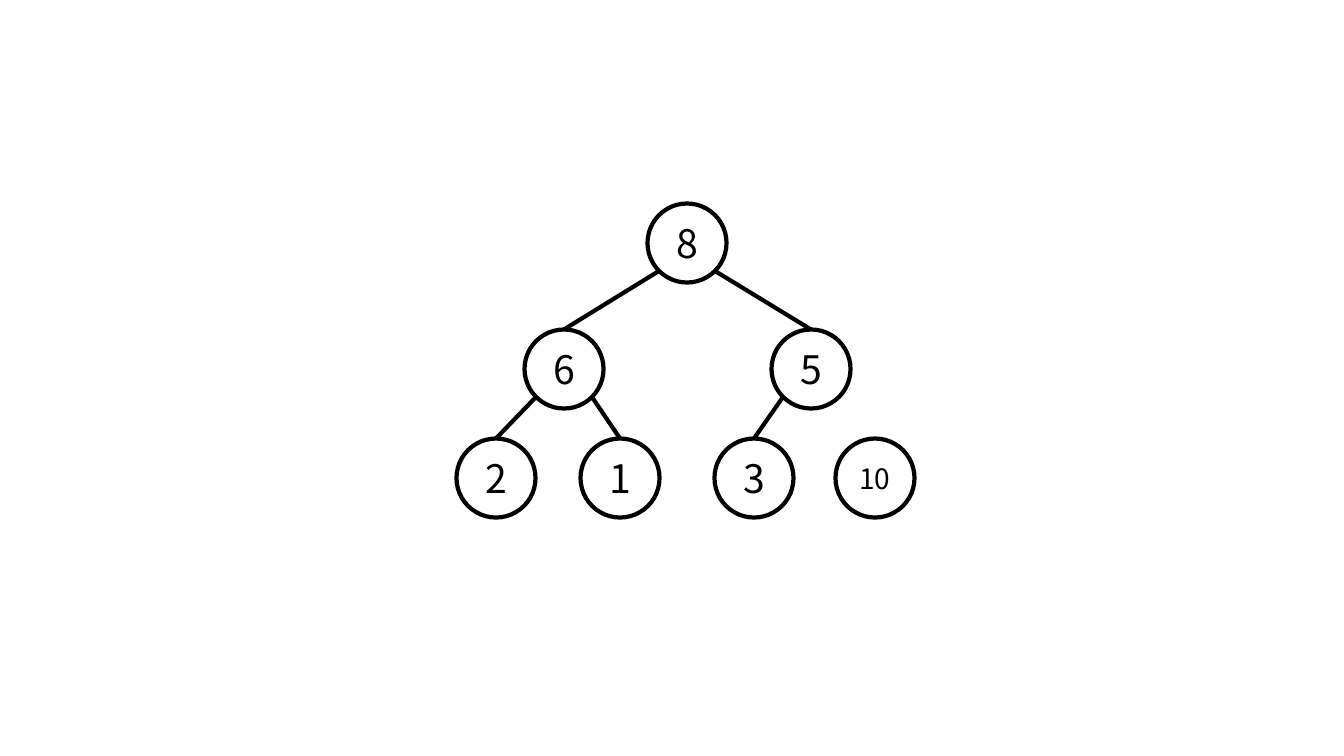
from math import sqrt

from lxml import etree
from pptx import Presentation
from pptx import util as u
from pptx.dml.color import RGBColor
from pptx.enum import shapes, text
from pptx.oxml.ns import qn

# Content: label -> (centre x, centre y, text size), lengths in px
NODES = {
    "8": (687, 243, 28),
    "6": (564, 369, 28),
    "5": (811, 369, 28),
    "2": (496, 478, 28),
    "1": (620, 478, 28),
    "3": (754, 478, 28),
    "10": (875, 478, 20),
}
EDGES = [("8", "6"), ("8", "5"), ("6", "2"), ("6", "1"), ("5", "3")]

# Format
BLACK = RGBColor(0, 0, 0)
STROKE = u.Pt(3)
DIAMETER = 79
FONT = "Noto Sans CJK SC"
FRAME = {
    "margin_left": 0, "margin_right": 0, "margin_top": 0, "margin_bottom": 0,
    "word_wrap": False, "vertical_anchor": text.MSO_ANCHOR.MIDDLE,
}


def px(length):
    return u.Emu(round(length * 914400 / 100.8))


def apply(target, values):
    for key, value in values.items():
        setattr(target, key, value)


def outline(part):
    part.line.color.rgb = BLACK
    part.line.width = STROKE


prs = Presentation()
prs.slide_width, prs.slide_height = px(1344), px(756)
slide = prs.slides.add_slide(prs.slide_layouts[6])

# Tree nodes
circles = {}
for label, (x, y, size) in NODES.items():
    circle = slide.shapes.add_shape(
        shapes.MSO_SHAPE.OVAL, px(x - DIAMETER / 2), px(y - DIAMETER / 2),
        px(DIAMETER), px(DIAMETER))
    circle.shadow.inherit = False
    circle.fill.background()
    outline(circle)
    apply(circle.text_frame, FRAME)
    paragraph = circle.text_frame.paragraphs[0]
    paragraph.alignment = text.PP_ALIGN.CENTER
    run = paragraph.add_run()
    run.text = label
    apply(run.font, {"name": FONT, "size": u.Pt(size)})
    run.font.color.rgb = BLACK
    circles[label] = circle

# Edges: from the parent's lower diagonal to the top of the child
diagonal = DIAMETER / 2 / sqrt(2)
for parent, child in EDGES:
    parent_x, parent_y, _ = NODES[parent]
    child_x, child_y, _ = NODES[child]
    side = 1 if child_x > parent_x else -1
    edge = slide.shapes.add_connector(
        shapes.MSO_CONNECTOR.STRAIGHT,
        px(parent_x + side * diagonal), px(parent_y + diagonal),
        px(child_x), px(child_y - DIAMETER / 2))
    edge.end_connect(circles[child], 0)
    outline(edge)
    etree.SubElement(edge._element.spPr, qn("a:effectLst"))

prs.save("out.pptx")
